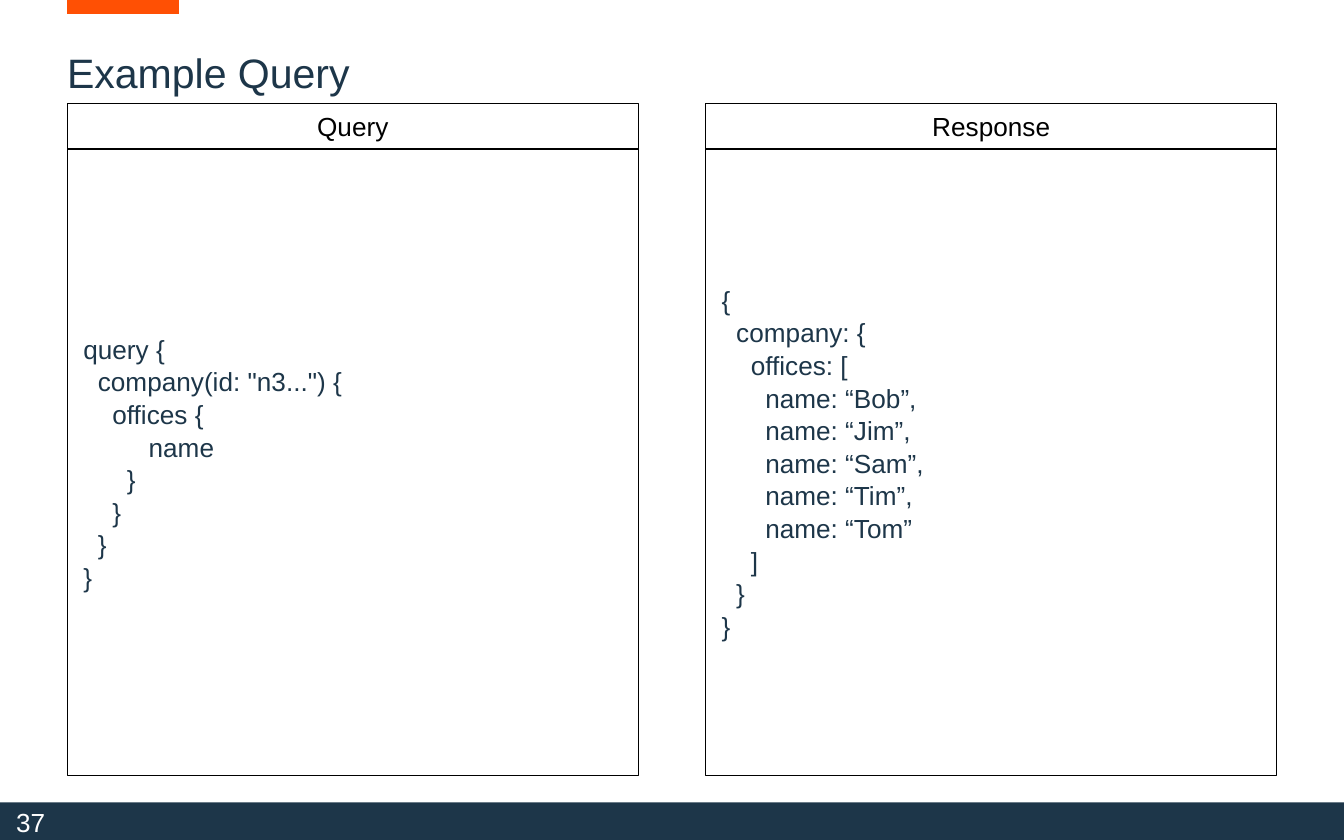
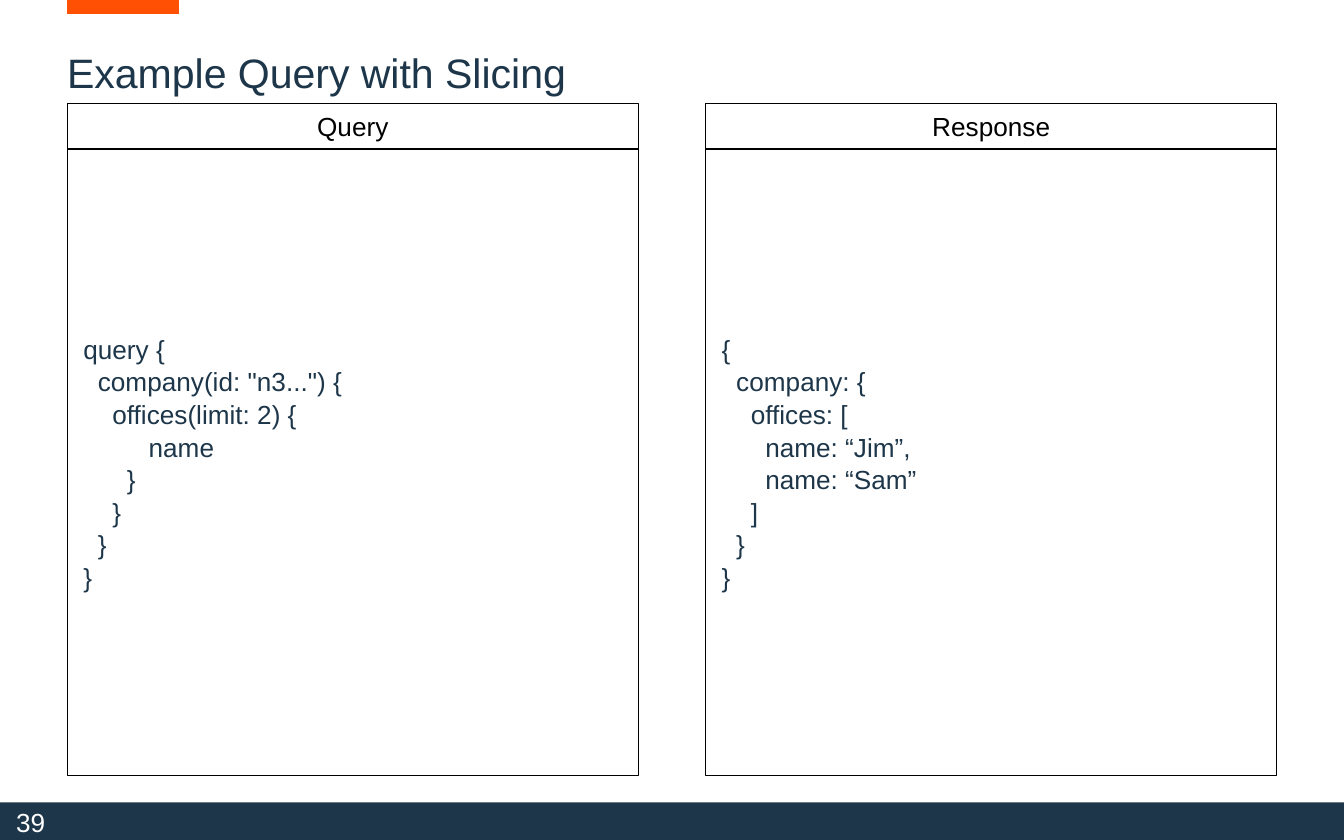
"""Builds two slides that set a query beside its response."""
from dataclasses import dataclass

from lxml import etree
from pptx import Presentation
from pptx.dml.color import RGBColor
from pptx.enum.shapes import MSO_CONNECTOR, MSO_SHAPE
from pptx.enum.text import MSO_ANCHOR, PP_ALIGN
from pptx.oxml.ns import qn
from pptx.presentation import Presentation as Deck
from pptx.shapes.autoshape import Shape
from pptx.slide import Slide
from pptx.text.text import TextFrame
from pptx.util import Inches, Pt

RECT = MSO_SHAPE.RECTANGLE
STRAIGHT = MSO_CONNECTOR.STRAIGHT
TOP, MIDDLE = MSO_ANCHOR.TOP, MSO_ANCHOR.MIDDLE
LEFT, CENTER = PP_ALIGN.LEFT, PP_ALIGN.CENTER


@dataclass(frozen=True)
class Theme:
    font: str = "Arial"
    navy: RGBColor = RGBColor(0x1D, 0x36, 0x49)
    orange: RGBColor = RGBColor(0xFF, 0x50, 0x04)
    black: RGBColor = RGBColor(0, 0, 0)
    white: RGBColor = RGBColor(0xFF, 0xFF, 0xFF)
    title_size: Pt = Pt(22)
    text_size: Pt = Pt(14)
    border: Pt = Pt(0.75)
    accent: Pt = Pt(8)


@dataclass(frozen=True)
class Panel:
    heading: str
    code: str


@dataclass(frozen=True)
class Page:
    number: int
    title: str
    panels: tuple[Panel, ...]


THEME = Theme()
SLIDE_W, SLIDE_H = 10, 6.25
MARGIN, GAP = 0.5, 0.5
PANEL_W = (SLIDE_W - 2 * MARGIN - GAP) / 2
HEADING_TOP, HEADING_H = 0.77, 0.34
CODE_TOP, CODE_H = HEADING_TOP + HEADING_H, 4.66
FOOTER_H = 0.28
CODE_INSET = 0.12
SPACE_W = 0.054

QUERY = """query {
  company(id: "n3...") {
    %s {
         name
      }
    }
  }
}"""

RESPONSE = """{
  company: {
    offices: [
%s
    ]
  }
}"""


def example(number: int, title: str, field: str, names: list[str]) -> Page:
    """Describe a page that queries a field and receives the given names."""
    rows = ",\n".join(f"      name: “{name}”" for name in names)
    return Page(number, title, (Panel("Query", QUERY % field),
                                Panel("Response", RESPONSE % rows)))


PAGES = (
    example(37, "Example Query", "offices", ["Bob", "Jim", "Sam", "Tim", "Tom"]),
    example(39, "Example Query with Slicing", "offices(limit: 2)", ["Jim", "Sam"]),
)


def write(tf: TextFrame, text: str, color: RGBColor, size: Pt = THEME.text_size,
          align: PP_ALIGN = LEFT, anchor: MSO_ANCHOR = MIDDLE,
          spacing: float = 1.0, inset: tuple[float, float] = (0, 0)) -> None:
    """Fill a frame line by line, turning leading spaces into indents."""
    tf.word_wrap = True
    tf.vertical_anchor = anchor
    tf.margin_left = tf.margin_right = Inches(inset[0])
    tf.margin_top = tf.margin_bottom = Inches(inset[1])
    for i, line in enumerate(text.split("\n")):
        p = tf.add_paragraph() if i else tf.paragraphs[0]
        p.text = line.lstrip()
        p.alignment = align
        p.line_spacing = spacing
        p.font.name = THEME.font
        p.font.size = size
        p.font.color.rgb = color
        depth = len(line) - len(p.text)
        if depth:
            p._p.get_or_add_pPr().set("marL", str(Inches(depth * SPACE_W)))


def add_box(s: Slide, x: float, y: float, w: float, h: float) -> Shape:
    """Add an unfilled rectangle with a thin black border."""
    sp = s.shapes.add_shape(RECT, Inches(x), Inches(y), Inches(w), Inches(h))
    sp.shadow.inherit = False
    sp.fill.background()
    sp.line.color.rgb = THEME.black
    sp.line.width = THEME.border
    return sp


def add_text(s: Slide, x: float, y: float, w: float, h: float) -> TextFrame:
    """Add a text box and return its frame."""
    return s.shapes.add_textbox(Inches(x), Inches(y), Inches(w), Inches(h)).text_frame


def add_frame(s: Slide, number: int) -> None:
    """Draw the accent bar, the footer band and the page number."""
    bar = s.shapes.add_connector(STRAIGHT, Inches(MARGIN), Inches(0.05),
                                 Inches(1.33), Inches(0.05))
    bar.line.color.rgb = THEME.orange
    bar.line.width = THEME.accent
    etree.SubElement(bar._element.spPr, qn("a:effectLst"))
    band = add_box(s, 0, SLIDE_H - FOOTER_H, SLIDE_W, FOOTER_H)
    band.fill.solid()
    band.fill.fore_color.rgb = THEME.navy
    band.line.fill.background()
    write(add_text(s, CODE_INSET, 5.99, 1.91, FOOTER_H), str(number),
          THEME.white, spacing=0.9)


def add_panel(s: Slide, x: float, panel: Panel) -> None:
    """Draw a code box with its heading on top."""
    body = add_box(s, x, CODE_TOP, PANEL_W, CODE_H)
    write(body.text_frame, panel.code, THEME.navy, spacing=1.04,
          inset=(CODE_INSET, 0.06))
    heading = add_box(s, x, HEADING_TOP, PANEL_W, HEADING_H)
    write(heading.text_frame, panel.heading, THEME.black, align=CENTER,
          inset=(0.1, 0.1))


def add_page(prs: Deck, page: Page) -> None:
    """Add one slide with its frame, panels and title."""
    s = prs.slides.add_slide(prs.slide_layouts[6])
    add_frame(s, page.number)
    for i, panel in enumerate(page.panels):
        add_panel(s, MARGIN + i * (PANEL_W + GAP), panel)
    write(add_text(s, MARGIN, 0.25, SLIDE_W - 2 * MARGIN, 0.38), page.title,
          THEME.navy, THEME.title_size, anchor=TOP, spacing=1.28)


def main() -> None:
    """Build and save the deck."""
    prs = Presentation()
    prs.slide_width, prs.slide_height = Inches(SLIDE_W), Inches(SLIDE_H)
    for page in PAGES:
        add_page(prs, page)
    prs.save("out.pptx")


if __name__ == "__main__":
    main()
